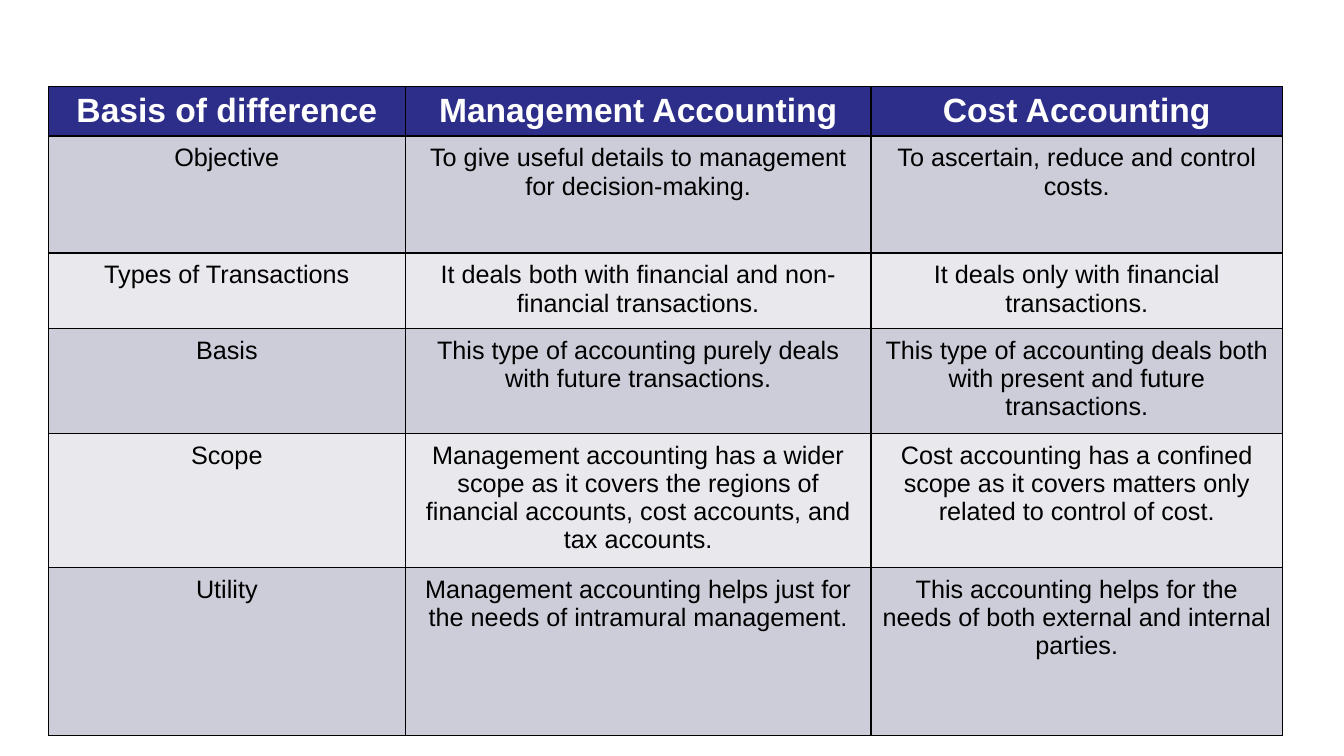
from lxml.etree import SubElement
from pptx import Presentation
from pptx.dml.color import RGBColor
from pptx.enum.text import PP_ALIGN as Align
from pptx.oxml.ns import qn
from pptx.util import Inches, Pt

COLUMN_WIDTHS = [3.54, 4.62, 4.08]
ROW_HEIGHTS = [0.49, 1.16, 0.75, 1.04, 1.33, 1.67]
TABLE_BOX = (0.48, 0.86, sum(COLUMN_WIDTHS), sum(ROW_HEIGHTS))

HEADER_FILL = "2D2D8A"
BAND_FILLS = ["E8E8ED", "CDCDDA"]
BORDER = "000000"

HEADER_FONT = {"name": "Arial", "size": Pt(24), "bold": True}
BODY_FONT = {"name": "Arial", "size": Pt(18), "bold": False}
BODY_MARGINS = dict.fromkeys(
    ["margin_left", "margin_right", "margin_top", "margin_bottom"], Inches(0.08))

COMPARISON = [
    ("Basis of difference", "Management Accounting", "Cost Accounting"),
    ("Objective",
     "To give useful details to management for decision-making.",
     "To ascertain, reduce and control costs."),
    ("Types of Transactions",
     "It deals both with financial and non-financial transactions.",
     "It deals only with financial transactions."),
    ("Basis",
     "This type of accounting purely deals with future transactions.",
     "This type of accounting deals both with present and future transactions."),
    ("Scope",
     "Management accounting has a wider scope as it covers the regions of "
     "financial accounts, cost accounts, and tax accounts.",
     "Cost accounting has a confined scope as it covers matters only related "
     "to control of cost."),
    ("Utility",
     "Management accounting helps just for the needs of intramural management.",
     "This accounting helps for the needs of both external and internal parties."),
]


def color(hex_value):
    return RGBColor.from_string(hex_value)


def set_all(target, values):
    for name, value in values.items():
        setattr(target, name, value)


def add_borders(cell):
    properties = cell._tc.get_or_add_tcPr()
    for side in ("lnL", "lnR", "lnT", "lnB"):
        line = SubElement(properties, qn(f"a:{side}"), w=str(Pt(1)))
        fill = SubElement(line, qn("a:solidFill"))
        SubElement(fill, qn("a:srgbClr"), val=BORDER)


def format_cell(cell, text, fill, font, text_color, margins):
    # Borders precede the fill in the cell properties
    add_borders(cell)
    cell.fill.solid()
    cell.fill.fore_color.rgb = color(fill)
    set_all(cell, margins)
    cell.text = text
    paragraph = cell.text_frame.paragraphs[0]
    paragraph.alignment = Align.CENTER
    run_font = paragraph.runs[0].font
    set_all(run_font, font)
    run_font.color.rgb = color(text_color)


def add_comparison(slide, box):
    frame = slide.shapes.add_table(
        len(COMPARISON), len(COLUMN_WIDTHS), *map(Inches, box))
    comparison = frame.table
    for column, width in zip(comparison.columns, COLUMN_WIDTHS):
        column.width = Inches(width)
    for row, height in zip(comparison.rows, ROW_HEIGHTS):
        row.height = Inches(height)

    # Header row, then alternating bands
    for index, (row, texts) in enumerate(zip(comparison.rows, COMPARISON)):
        if index == 0:
            style = (HEADER_FILL, HEADER_FONT, "FFFFFF", {})
        else:
            style = (BAND_FILLS[index % 2], BODY_FONT, "000000", BODY_MARGINS)
        for cell, text in zip(row.cells, texts):
            format_cell(cell, text, *style)


def main():
    deck = Presentation()
    deck.slide_width, deck.slide_height = Inches(13.33), Inches(7.5)
    slide = deck.slides.add_slide(deck.slide_layouts[6])
    add_comparison(slide, TABLE_BOX)
    deck.save("out.pptx")


if __name__ == "__main__":
    main()
